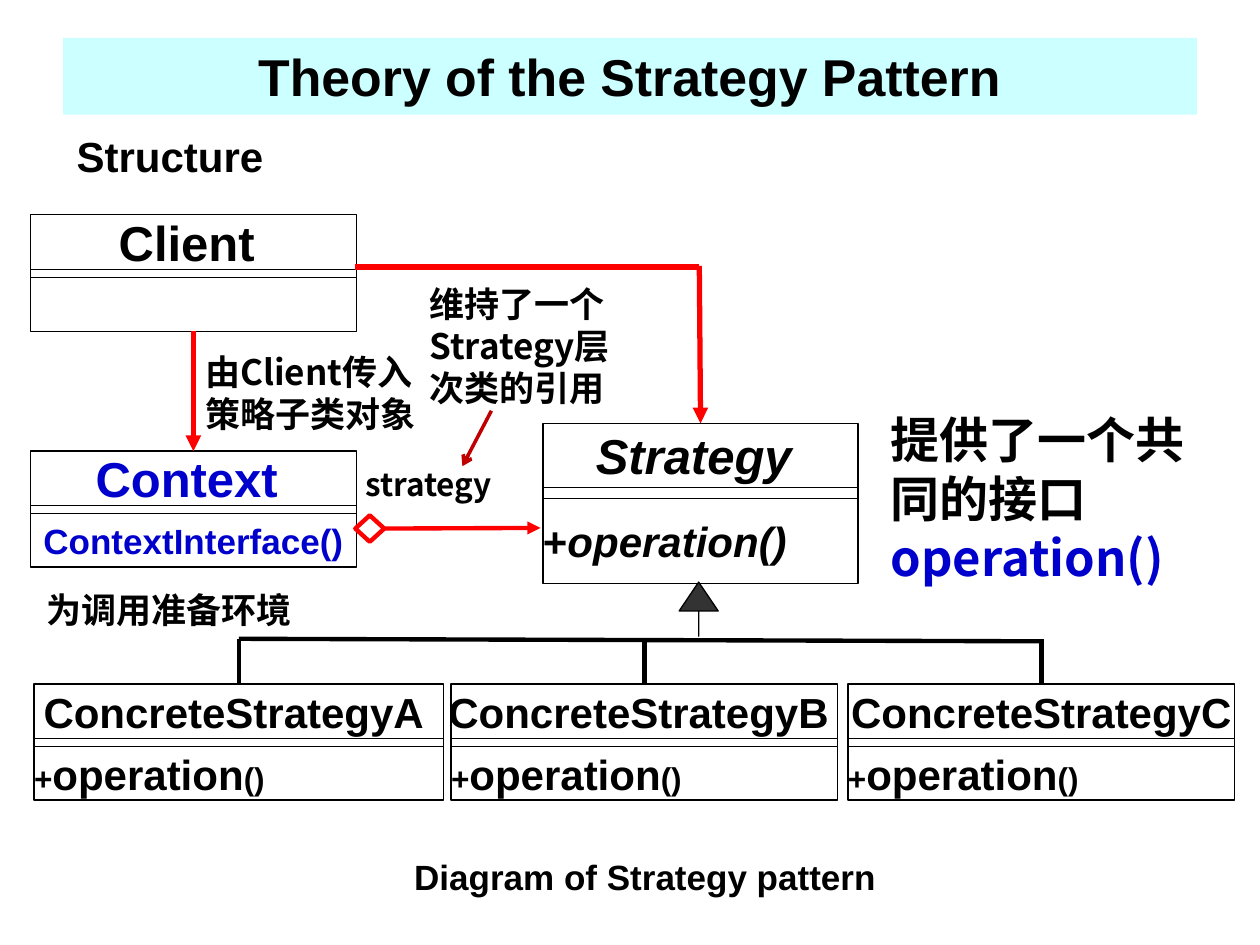
import pptx
import pptx.util
import pptx.dml.color
import pptx.enum.shapes
import pptx.enum.text
import pptx.oxml.ns
import lxml.etree

SHAPE = pptx.enum.shapes.MSO_SHAPE
ALIGN = pptx.enum.text.PP_ALIGN
ANCHOR = pptx.enum.text.MSO_ANCHOR
FIT = pptx.enum.text.MSO_AUTO_SIZE
SANS, CJK = "Arial", "Noto Sans CJK SC"
BLACK, WHITE, RED, BLUE = "000000", "FFFFFF", "FF0000", "0000CC"
TOP, BOTTOM, RIGHT = 0, 2, 3

prs = pptx.Presentation()
prs.slide_width, prs.slide_height = pptx.util.Inches(10), pptx.util.Inches(7.5)
COL, ROW = prs.slide_width / 100, prs.slide_height / 75  # grid of 100 x 75


def grid(x, y, *size):
    return [round(v * unit) for v, unit in zip((x, y, *size), (COL, ROW) * 2)]


def rgb(value):
    return pptx.dml.color.RGBColor.from_string(value)


def add_child(parent, tag, **attrs):
    return lxml.etree.SubElement(parent, pptx.oxml.ns.qn(tag), **attrs)


def add_text(p, text, size=20, font=SANS, color=BLACK, italic=False):
    r = p.add_run()
    r.text = text
    f = r.font
    f.size, f.name, f.bold, f.italic = pptx.util.Pt(size), font, True, italic
    f.color.rgb = rgb(color)
    if font == CJK:
        add_child(r.font._element, "a:ea", typeface=font)


def add_block(shapes, kind, box, fill=WHITE, line=BLACK, width=0.75):
    sp = shapes.add_shape(kind, *grid(*box))
    sp.shadow.inherit = False
    sp.fill.solid()
    sp.fill.fore_color.rgb = rgb(fill)
    sp.line.color.rgb = rgb(line)
    sp.line.width = pptx.util.Pt(width)
    return sp


def add_line(s, start, end, color=BLACK, width=2.5, head=None, begin=None, finish=None):
    """begin and finish are (shape, side) pairs to join the ends to."""
    c = s.shapes.add_connector(pptx.enum.shapes.MSO_CONNECTOR.STRAIGHT,
                               *grid(*start), *grid(*end))
    c.line.color.rgb = rgb(color)
    c.line.width = pptx.util.Pt(width)
    if head:
        add_child(c.line._get_or_add_ln(), "a:tailEnd", type=head)
    add_child(c._element.spPr, "a:effectLst")
    if begin:
        c.begin_connect(*begin)
    if finish:
        c.end_connect(*finish)


def add_label(s, box, paragraphs, align=ALIGN.LEFT, wrap=True, **fmt):
    """Each paragraph is a list of (text, extra format) runs."""
    tf = s.shapes.add_textbox(*grid(*box)).text_frame
    tf.word_wrap, tf.auto_size = wrap, FIT.SHAPE_TO_FIT_TEXT
    for i, runs in enumerate(paragraphs):
        p = tf.add_paragraph() if i else tf.paragraphs[0]
        p.alignment = align
        for text, extra in runs:
            add_text(p, text, **{**fmt, **extra})
    return tf


def add_class(s, box, name, members, name_share=0.47, gap_share=0.07):
    """Draw a class box: name, divider and member compartments."""
    x, y, w, h = box
    name_h, gap_h = h * name_share, h * gap_share
    shapes = s.shapes.add_group_shape().shapes
    parts = []
    for top, height, runs, align in (
            (y, name_h, [name], ALIGN.CENTER),
            (y + name_h + gap_h, h - name_h - gap_h, members, ALIGN.LEFT),
            (y + name_h, gap_h, [], ALIGN.LEFT)):
        sp = add_block(shapes, SHAPE.RECTANGLE, (x, top, w, height))
        tf = sp.text_frame
        tf.margin_left = tf.margin_right = tf.margin_top = tf.margin_bottom = 0
        tf.word_wrap, tf.vertical_anchor = False, ANCHOR.MIDDLE
        p = tf.paragraphs[0]
        p.alignment = align
        for text, fmt in runs:
            add_text(p, text, **fmt)
        parts.append(sp)
    return parts[0], parts[1]


def add_title(s, box, text):
    sp = s.shapes.title
    sp.left, sp.top, sp.width, sp.height = grid(*box)
    sp.fill.solid()
    sp.fill.fore_color.rgb = rgb("CCFFFF")
    tf = sp.text_frame
    tf.word_wrap, tf.auto_size, tf.vertical_anchor = True, FIT.NONE, ANCHOR.MIDDLE
    tf.paragraphs[0].alignment = ALIGN.CENTER
    add_text(tf.paragraphs[0], text, size=29.6)


def add_collaborators(s):
    """Client, Context and Strategy with their links."""
    _, client = add_class(s, (2.4, 17, 25.9, 9.3),
                          ("Client ", dict(size=28)), [])
    context, body = add_class(s, (2.4, 35.8, 25.9, 9.2),
                              ("Context ", dict(size=28, color=BLUE)),
                              [("ContextInterface()", dict(color=BLUE))])
    body.text_frame.paragraphs[0].alignment = ALIGN.CENTER
    strategy, _ = add_class(s, (43.1, 33.6, 25, 12.7),
                            ("Strategy ", dict(size=28, italic=True)),
                            [("+", dict(size=24)),
                             ("operation()", dict(size=24, italic=True))],
                            name_share=0.4)
    add_line(s, (15.35, 26.3), (15.35, 35.8), RED, 3, "triangle",
             (client, BOTTOM), (context, TOP))
    add_line(s, (28.2, 21.2), (55.5, 21.2), RED, 3)
    add_line(s, (55.5, 21.1), (55.6, 33.6), RED, 3, "triangle", finish=(strategy, TOP))
    diamond = add_block(s.shapes, SHAPE.DIAMOND, (28.2, 40.9, 2.3, 2.1),
                        line=RED, width=2.5)
    add_line(s, (30.5, 41.9), (42.9, 41.9), RED, 2.5, "triangle", (diamond, RIGHT))


def add_subclasses(s, y, bus_y):
    """Concrete strategies hanging from the inheritance line."""
    centers = []
    for x, w, name in ((2.7, 32.5, "ConcreteStrategyA "),
                       (35.8, 30.7, "ConcreteStrategyB "),
                       (67.3, 30.7, "ConcreteStrategyC")):
        top, _ = add_class(s, (x, y, w, 9.2), (name, dict(size=24)),
                           [("+", dict(size=18)), ("operation", dict(size=24)),
                            ("()", dict(size=18))])
        center = x + w / 2
        add_line(s, (center, bus_y), (center, y), finish=(top, TOP))
        centers.append(center)
    add_line(s, (centers[0], bus_y), (centers[-1], bus_y + 0.2))
    arrow = add_block(s.shapes, SHAPE.UP_ARROW, (53.9, 46.2, 3.1, 4.3), fill="333333")
    arrow.adjustments[0], arrow.adjustments[1] = 0, 0.74


def add_notes_on_diagram(s):
    cjk = dict(font=CJK)
    add_label(s, (69.7, 32, 26.8, 15),
              [[("提供了一个共同的接口", {}), ("operation()", dict(color=BLUE))]],
              size=28, **cjk)
    add_label(s, (2.7, 46.2, 22.8, 4.4), [[("为调用准备环境", {})]], **cjk)
    add_label(s, (15.3, 27.3, 20.5, 7.7),
              [[("由Client传入", {})], [("策略子类对象", {})]], **cjk)
    add_label(s, (33.1, 21.9, 20.9, 11),
              [[("维持了一个Strategy层", {})], [("次类的引用", {})]], **cjk)
    role = add_label(s, (29, 36.4, 12.9, 4), [[("strategy", {})]], size=18, **cjk)
    role.margin_left = role.margin_right = 0
    add_line(s, (39, 32.6), (36.7, 37), "C00000", 2, "arrow")


s = prs.slides.add_slide(prs.slide_layouts[5])
add_title(s, (5, 3, 90, 6.1), "Theory of the Strategy Pattern")
add_label(s, (5.1, 9.9, 16.8, 5), [[("Structure", {})]], wrap=False, size=24)
add_collaborators(s)
add_subclasses(s, 54.3, 50.7)
add_notes_on_diagram(s)
add_label(s, (5.9, 67.4, 90.6, 4.4), [[("Diagram of Strategy pattern", {})]],
          align=ALIGN.CENTER)
prs.save("out.pptx")
